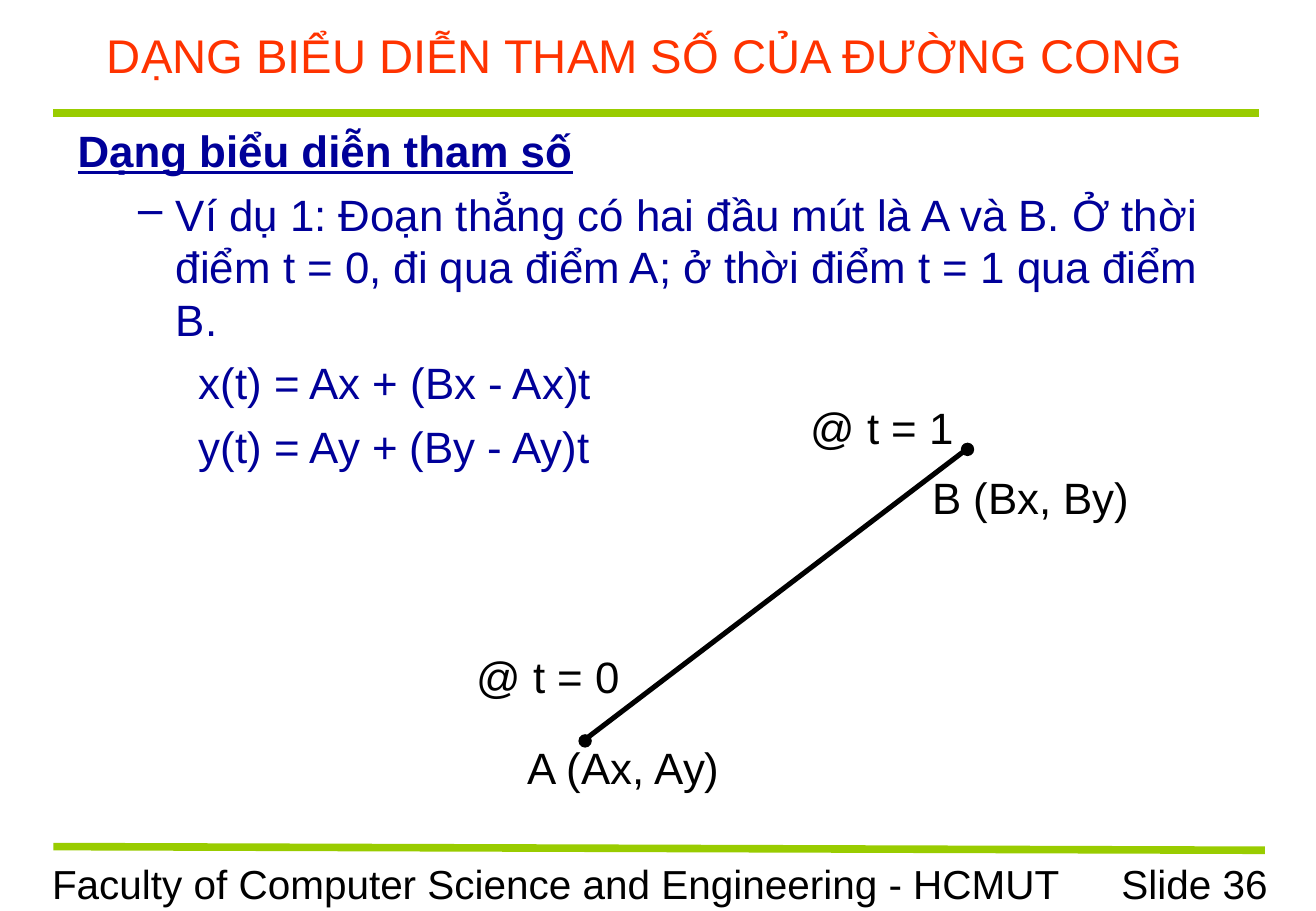
import pptx
import pptx.util
import pptx.dml.color
import pptx.enum.shapes
import pptx.enum.text
import pptx.oxml
import pptx.oxml.ns
from dataclasses import dataclass

Inches = pptx.util.Inches
Pt = pptx.util.Pt
ALIGN = pptx.enum.text.PP_ALIGN
ANCHOR = pptx.enum.text.MSO_ANCHOR


@dataclass(frozen=True)
class Theme:
    font: str = "Arial"
    title: str = "FF3300"
    body: str = "000099"
    ink: str = "000000"
    rule: str = "99CC00"
    title_size: float = 28
    body_size: float = 26
    footer_size: float = 24
    body_gap: float = 6.5
    rule_width: float = 4.5
    segment_width: float = 3
    dot_outline: float = 0.75


THEME = Theme()


def rgb(value):
    return pptx.dml.color.RGBColor.from_string(value)


def style_paragraph(paragraph, size, color, align=ALIGN.LEFT):
    paragraph.alignment = align
    for run in paragraph.runs:
        run.font.name = THEME.font
        run.font.size = Pt(size)
        run.font.color.rgb = rgb(color)


def add_frame(slide, box, anchor=ANCHOR.TOP):
    frame = slide.shapes.add_textbox(*map(Inches, box)).text_frame
    frame.word_wrap = True
    frame.vertical_anchor = anchor
    return frame


def add_label(slide, box, text, size, color, align=ALIGN.LEFT, anchor=ANCHOR.TOP):
    frame = add_frame(slide, box, anchor)
    frame.text = text
    style_paragraph(frame.paragraphs[0], size, color, align)


def add_line(slide, start, end, color, width):
    line = slide.shapes.add_connector(
        pptx.enum.shapes.MSO_CONNECTOR.STRAIGHT, *map(Inches, (*start, *end)))
    line.line.color.rgb = rgb(color)
    line.line.width = Pt(width)
    line._element.spPr.append(pptx.oxml.parse_xml(
        f"<a:effectLst {pptx.oxml.ns.nsdecls('a')}/>"))


def set_indent(paragraph, left, hanging, bullet):
    properties = paragraph._p.get_or_add_pPr()
    properties.set("marL", str(Inches(left)))
    properties.set("indent", str(-Inches(hanging)))
    tag = f'a:buChar char="{bullet}"' if bullet else "a:buNone"
    tag_name, _, attributes = tag.partition(" ")
    properties.append(pptx.oxml.parse_xml(
        f"<{tag_name} {pptx.oxml.ns.nsdecls('a')} {attributes}/>"))


# Title with the rule beneath it
def build_header(slide, box):
    left, top, width, height = box
    add_label(slide, box, "DẠNG BIỂU DIỄN THAM SỐ CỦA ĐƯỜNG CONG",
              THEME.title_size, THEME.title, ALIGN.CENTER, ANCHOR.MIDDLE)
    rule_y = top + height + 0.13
    add_line(slide, (left + 0.11, rule_y), (left + width + 0.08, rule_y),
             THEME.rule, THEME.rule_width)


# Heading, example and the two equations
def build_explanation(slide, box):
    passages = [
        ("Dạng biểu diễn tham số", 0.38, 0.38, None),
        ("Ví dụ 1: Đoạn thẳng có hai đầu mút là A và B. Ở thời điểm t = 0, "
         "đi qua điểm A; ở thời điểm t = 1 qua điểm B.", 0.81, 0.31, "–"),
        ("x(t) = Ax + (Bx - Ax)t", 1.25, 0.25, None),
        ("y(t) = Ay + (By - Ay)t", 1.25, 0.25, None),
    ]
    frame = add_frame(slide, box)
    frame.text = "\n".join(passage[0] for passage in passages)
    for paragraph, (_, left, hanging, bullet) in zip(frame.paragraphs, passages):
        set_indent(paragraph, left, hanging, bullet)
        style_paragraph(paragraph, THEME.body_size, THEME.body)
    for paragraph in frame.paragraphs[1:]:
        paragraph.space_before = Pt(THEME.body_gap)
    heading = frame.paragraphs[0].runs[0].font
    heading.bold = heading.underline = True


# Segment from A (bottom left) to B (top right), with labelled end points
def build_segment(slide, box):
    left, top, width, height = box
    point_a = (left, top + height)
    point_b = (left + width, top)
    add_line(slide, point_a, point_b, THEME.ink, THEME.segment_width)

    # Each entry: end point, name and its offset, time and its offset, dot offset
    ends = [
        (point_a, "A (Ax, Ay)", (-0.58, -0.03), "@ t = 0", (-1, -0.78), (-0.06, -0.03)),
        (point_b, "B (Bx, By)", (-0.42, 0.16), "@ t = 1", (-1.42, -0.42), (-0.08, -0.02)),
    ]
    for (x, y), name, name_shift, time, time_shift, dot_shift in ends:
        for text, (dx, dy), label_width in ((name, name_shift, 2.08),
                                            (time, time_shift, 1.67)):
            add_label(slide, (x + dx, y + dy, label_width, 0.54), text,
                      THEME.body_size, THEME.ink)
        dot = slide.shapes.add_shape(
            pptx.enum.shapes.MSO_SHAPE.OVAL,
            *map(Inches, (x + dot_shift[0], y + dot_shift[1], 0.1, 0.1)))
        dot.shadow.inherit = False
        dot.fill.solid()
        dot.fill.fore_color.rgb = rgb(THEME.ink)
        dot.line.color.rgb = rgb(THEME.ink)
        dot.line.width = Pt(THEME.dot_outline)


# Slightly sloping rule, faculty name and slide number
def build_footer(slide, box):
    left, top, width, height = box
    add_line(slide, (left + 0.11, top - 0.05), (left + width - 0.12, top - 0.02),
             THEME.rule, THEME.rule_width)
    add_label(slide, (left, top, 8.52, height),
              "Faculty of Computer Science and Engineering - HCMUT",
              THEME.footer_size, THEME.ink)
    number_width = 1.99
    add_label(slide, (left + width - number_width, top, number_width, height),
              "Slide 36", THEME.footer_size, THEME.ink, ALIGN.RIGHT)


def main():
    deck = pptx.Presentation()
    deck.slide_width = Inches(10.84)
    deck.slide_height = Inches(7.5)
    slide = deck.slides.add_slide(deck.slide_layouts[6])
    slide.background.fill.solid()
    slide.background.fill.fore_color.rgb = rgb("FFFFFF")
    build_footer(slide, (0.33, 7.02, 10.21, 0.5))
    build_header(slide, (0.33, 0.1, 9.96, 0.7))
    build_explanation(slide, (0.54, 0.97, 9.75, 3.03))
    build_segment(slide, (4.83, 3.67, 3.17, 2.41))
    deck.save("out.pptx")


if __name__ == "__main__":
    main()
